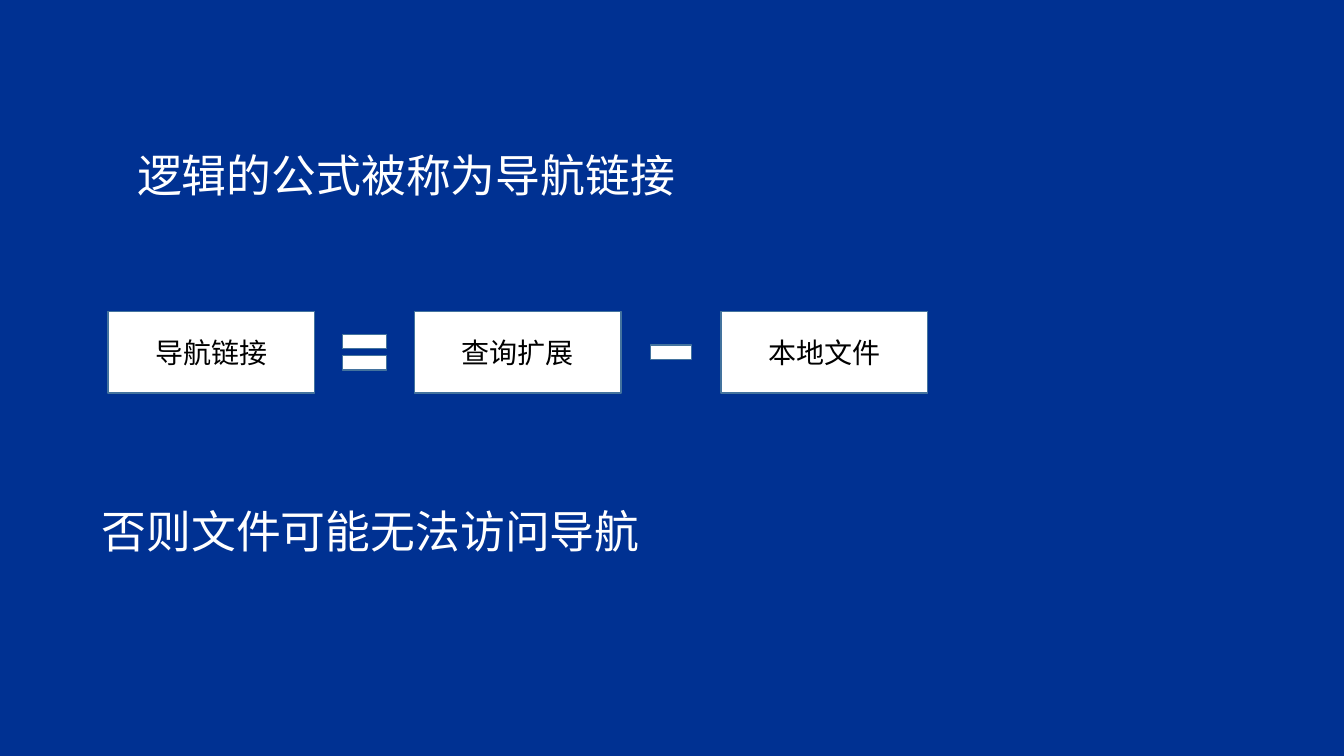
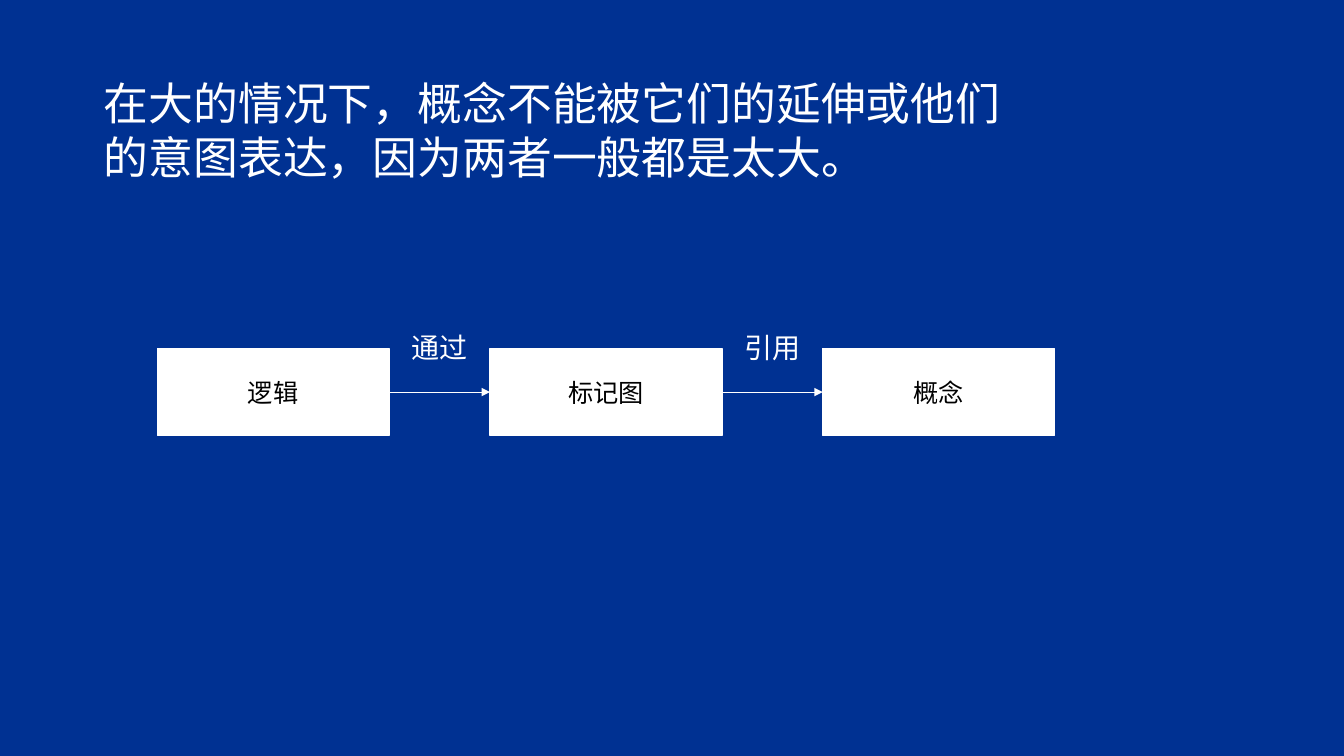
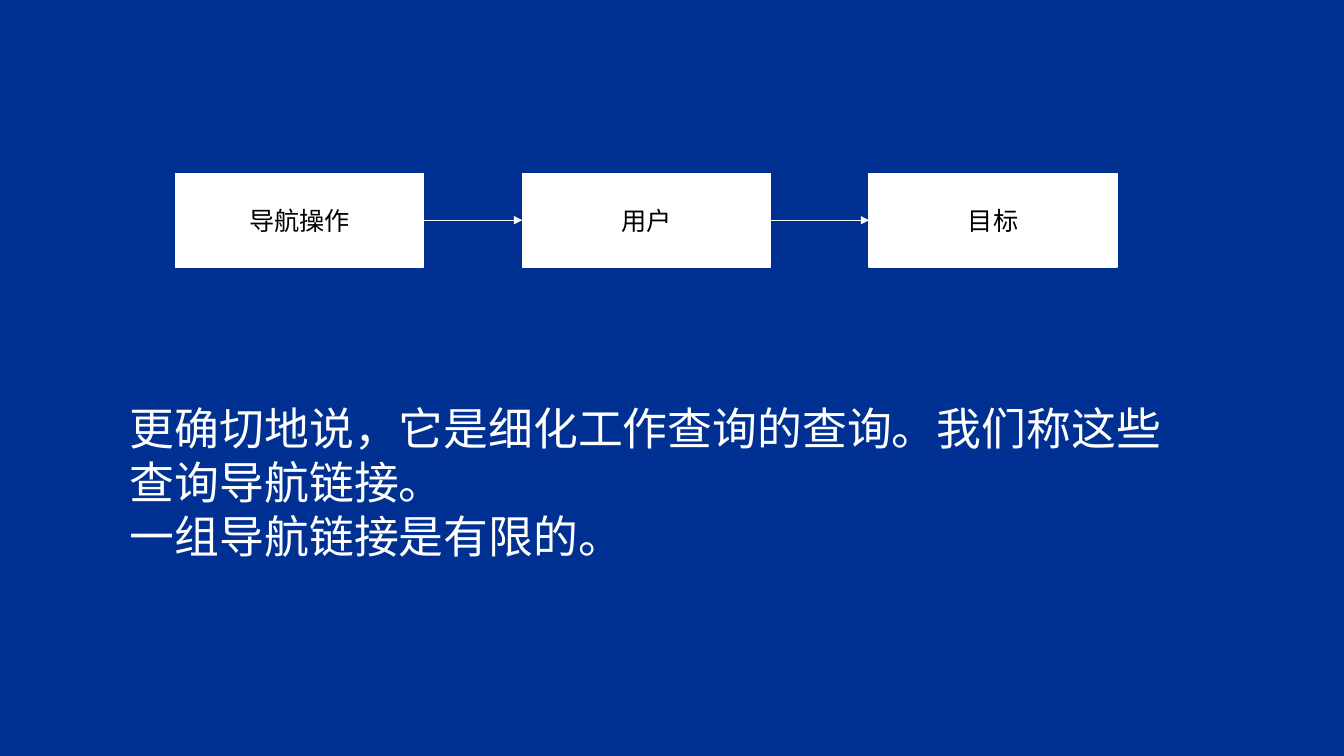
import dataclasses

import lxml.etree
import pptx
import pptx.dml.color
import pptx.enum.shapes
import pptx.enum.text
import pptx.oxml.ns
import pptx.util

Inches = pptx.util.Inches
Shapes = pptx.enum.shapes.MSO_SHAPE
Align = pptx.enum.text.PP_ALIGN
Anchor = pptx.enum.text.MSO_ANCHOR


@dataclasses.dataclass(frozen=True)
class Theme:
    """Colours, font, type sizes and line widths of the deck."""
    background: str = "003192"
    white: str = "FFFFFF"
    black: str = "000000"
    outline: str = "43739E"
    font: str = "Calibri"
    statement_size: int = 32
    label_size: int = 20
    step_size: int = 18
    box_line: float = 1
    arrow_line: float = 0.5


@dataclasses.dataclass(frozen=True)
class Row:
    """Geometry in inches of equal boxes set side by side."""
    left: float
    top: float
    width: float
    height: float
    pitch: float

    @property
    def middle(self):
        """Return the vertical centre of the row."""
        return self.top + self.height / 2

    def box_left(self, index):
        """Return the left edge of a box."""
        return self.left + index * self.pitch

    def gap(self, index):
        """Return the start and end of the gap after a box."""
        return self.box_left(index) + self.width, self.box_left(index + 1)


THEME = Theme()
TITLE_ONLY, BLANK = 5, 6

FORMULA_TITLE = "逻辑的公式被称为导航链接"
FORMULA_TERMS = ["导航链接", "查询扩展", "本地文件"]
FORMULA_OPERATORS = [(Shapes.MATH_EQUAL, 0.6), (Shapes.MATH_MINUS, 0.56)]
OPERATOR_HEIGHT = 0.6
FORMULA_NOTE = ["否则文件可能无法访问导航"]
FORMULA_ROW = Row(1.07, 3.09, 2.05, 0.81, 3.04)

CONCEPT_TITLE = "在大的情况下，概念不能被它们的延伸或他们的意图表达，因为两者一般都是太大。"
CONCEPT_STEPS = ["逻辑", "标记图", "概念"]
CONCEPT_LINKS = ["通过", "引用"]
LINK_TOP, LINK_WIDTH, LINK_HEIGHT = 3.23, 1.4, 0.44
CONCEPT_ROW = Row(1.56, 3.46, 2.3, 0.86, 3.3)

NAVIGATION_STEPS = ["导航操作", "用户", "目标"]
NAVIGATION_NOTE = [
    "更确切地说，它是细化工作查询的查询。我们称这些查询导航链接。",
    "一组导航链接是有限的。",
]
NAVIGATION_ROW = Row(1.74, 1.72, 2.46, 0.93, 3.44)


def rgb(value):
    """Turn a hex string into a colour."""
    return pptx.dml.color.RGBColor.from_string(value)


def lengths(*values):
    """Turn numbers of inches into lengths."""
    return [Inches(value) for value in values]


def write(shape, paragraphs, size, color, align=Align.LEFT, anchor=Anchor.TOP):
    """Fill a shape with wrapped text in one style."""
    frame = shape.text_frame
    frame.text = "\n".join(paragraphs)
    frame.word_wrap = True
    frame.vertical_anchor = anchor
    for paragraph in frame.paragraphs:
        paragraph.alignment = align
        paragraph.font.name = THEME.font
        paragraph.font.size = pptx.util.Pt(size)
        paragraph.font.color.rgb = rgb(color)


def add_titled_slide(presentation, title, left, top, width, height):
    """Add a slide whose title is placed as a statement."""
    slide = presentation.slides.add_slide(presentation.slide_layouts[TITLE_ONLY])
    shape = slide.shapes.title
    shape.left, shape.top, shape.width, shape.height = lengths(left, top, width, height)
    write(shape, [title], THEME.statement_size, THEME.white)
    shape.text_frame.auto_size = pptx.enum.text.MSO_AUTO_SIZE.SHAPE_TO_FIT_TEXT
    return slide


def add_text(slide, paragraphs, left, top, width, height,
             size=THEME.statement_size, align=Align.LEFT):
    """Add white text straight on the background."""
    shape = slide.shapes.add_textbox(*lengths(left, top, width, height))
    write(shape, paragraphs, size, THEME.white, align)
    shape.text_frame.auto_size = pptx.enum.text.MSO_AUTO_SIZE.SHAPE_TO_FIT_TEXT


def add_white_shape(slide, kind, left, top, width, height, outline):
    """Add a white preset shape with a thin outline."""
    shape = slide.shapes.add_shape(kind, *lengths(left, top, width, height))
    shape.shadow.inherit = False
    shape.fill.solid()
    shape.fill.fore_color.rgb = rgb(THEME.white)
    shape.line.color.rgb = rgb(outline)
    shape.line.width = pptx.util.Pt(THEME.box_line)
    return shape


def add_boxes(slide, row, labels, size, outline):
    """Add a row of labelled boxes."""
    for index, label in enumerate(labels):
        box = add_white_shape(slide, Shapes.RECTANGLE, row.box_left(index), row.top,
                              row.width, row.height, outline)
        write(box, [label], size, THEME.black, Align.CENTER, Anchor.MIDDLE)


def add_arrow(slide, start, end, middle):
    """Add a thin horizontal arrow."""
    arrow = slide.shapes.add_connector(
        pptx.enum.shapes.MSO_CONNECTOR.STRAIGHT, *lengths(start, middle, end, middle))
    arrow.line.color.rgb = rgb(THEME.white)
    arrow.line.width = pptx.util.Pt(THEME.arrow_line)
    qn = pptx.oxml.ns.qn
    lxml.etree.SubElement(arrow.line._get_or_add_ln(), qn("a:tailEnd"), type="triangle")
    lxml.etree.SubElement(arrow._element.spPr, qn("a:effectLst"))


def add_flow(slide, row, steps):
    """Add boxes joined by arrows."""
    add_boxes(slide, row, steps, THEME.step_size, THEME.white)
    for index in range(len(steps) - 1):
        add_arrow(slide, *row.gap(index), row.middle)


def build_formula(presentation):
    """Build the slide with the navigation link formula."""
    slide = add_titled_slide(presentation, FORMULA_TITLE, 1.26, 1.42, 6.53, 1.18)
    add_boxes(slide, FORMULA_ROW, FORMULA_TERMS, THEME.label_size, THEME.outline)
    for index, (kind, width) in enumerate(FORMULA_OPERATORS):
        center = sum(FORMULA_ROW.gap(index)) / 2
        add_white_shape(slide, kind, center - width / 2,
                        FORMULA_ROW.middle - OPERATOR_HEIGHT / 2,
                        width, OPERATOR_HEIGHT, THEME.outline)
    add_text(slide, FORMULA_NOTE, 0.91, 4.95, 7.84, 0.64)


def build_concept(presentation):
    """Build the slide that leads from logic to concept."""
    slide = add_titled_slide(presentation, CONCEPT_TITLE, 0.93, 0.7, 9.53, 1.48)
    add_flow(slide, CONCEPT_ROW, CONCEPT_STEPS)
    for index, label in enumerate(CONCEPT_LINKS):
        center = sum(CONCEPT_ROW.gap(index)) / 2
        add_text(slide, [label], center - LINK_WIDTH / 2, LINK_TOP, LINK_WIDTH,
                 LINK_HEIGHT, THEME.label_size, Align.CENTER)


def build_navigation(presentation):
    """Build the slide that leads from navigation to target."""
    slide = presentation.slides.add_slide(presentation.slide_layouts[BLANK])
    add_flow(slide, NAVIGATION_ROW, NAVIGATION_STEPS)
    add_text(slide, NAVIGATION_NOTE, 1.19, 3.93, 10.63, 1.72)


def main():
    """Build and save the deck."""
    presentation = pptx.Presentation()
    presentation.slide_width, presentation.slide_height = lengths(13.33, 7.5)
    background = presentation.slide_master.background.fill
    background.solid()
    background.fore_color.rgb = rgb(THEME.background)
    for build in (build_formula, build_concept, build_navigation):
        build(presentation)
    presentation.save("out.pptx")


main()
